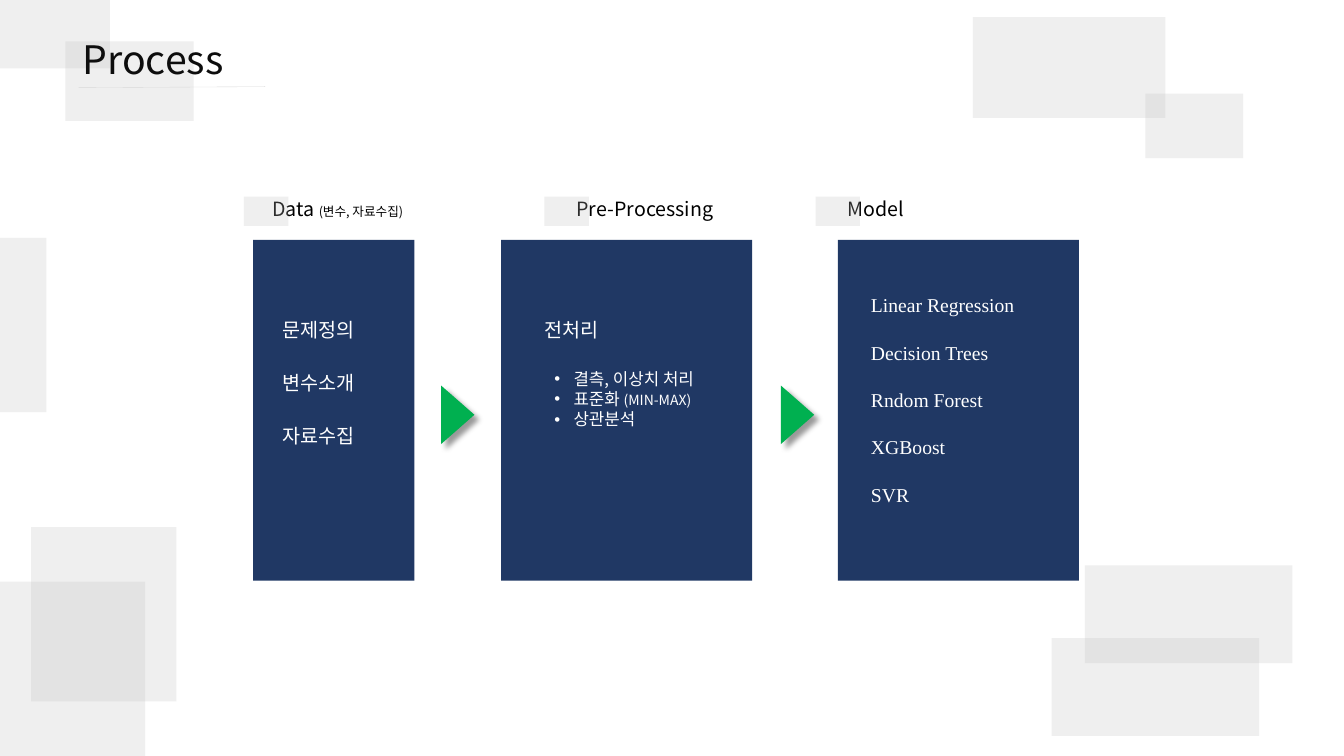
from dataclasses import dataclass

from lxml import etree
from pptx import Presentation
from pptx.dml.color import RGBColor
from pptx.enum.shapes import MSO_CONNECTOR, MSO_SHAPE
from pptx.enum.text import MSO_ANCHOR, MSO_AUTO_SIZE, PP_ALIGN
from pptx.oxml import parse_xml
from pptx.oxml.ns import nsdecls, qn
from pptx.util import Inches, Pt

RECT, TRIANGLE = MSO_SHAPE.RECTANGLE, MSO_SHAPE.ISOSCELES_TRIANGLE
STRAIGHT = MSO_CONNECTOR.STRAIGHT
TOP, LEFT = MSO_ANCHOR.TOP, PP_ALIGN.LEFT
NO_FIT, GROW = MSO_AUTO_SIZE.NONE, MSO_AUTO_SIZE.SHAPE_TO_FIT_TEXT


@dataclass(frozen=True)
class Theme:
    sans: str = "Noto Sans CJK KR"
    serif: str = "Times New Roman"
    white: str = "FFFFFF"
    black: str = "000000"
    title: str = "0D0D0D"
    rule: str = "D9D9D9"
    block: str = "BFBFBF"
    panel: str = "203864"
    arrow: str = "00B050"
    title_size: int = 28
    body_size: int = 14
    bullet_size: int = 12
    small_size: int = 10
    note_size: int = 9


T = Theme()

BACKDROP = [
    (0, 5.77, 1.44, 1.73), (0.31, 5.23, 1.44, 1.73),
    (10.76, 5.61, 2.06, 0.97), (10.43, 6.33, 2.06, 0.97),
    (9.65, 0.17, 1.91, 1), (11.36, 0.93, 0.97, 0.64),
    (0, 2.36, 0.46, 1.73), (0, 0, 1.09, 0.68), (0.65, 0.41, 1.27, 0.79),
]
PANEL_TOP, PANEL_HEIGHT = 2.38, 3.38
LINE_HEIGHT = 0.34


def add_block(slide, box, color, alpha=None, kind=RECT):
    s = slide.shapes.add_shape(kind, *map(Inches, box))
    s.shadow.inherit = False
    s.fill.solid()
    s.fill.fore_color.rgb = RGBColor.from_string(color)
    s.line.fill.background()
    if alpha is not None:
        clr = s.element.spPr.find(qn("a:solidFill"))[0]
        etree.SubElement(clr, qn("a:alpha"), val=str(alpha * 1000))
    return s


def add_run(p, text, size, color, font=T.sans):
    r = p.add_run()
    r.text = text
    for name, value in {"name": font, "size": Pt(size)}.items():
        setattr(r.font, name, value)
    r.font.color.rgb = RGBColor.from_string(color)
    etree.SubElement(r.font.fill._xPr, qn("a:ea"), typeface=font)


def add_text(slide, box, runs, color, font=T.sans):
    """Place one line made of (text, size) runs."""
    tf = slide.shapes.add_textbox(*map(Inches, box)).text_frame
    for name, value in {"word_wrap": True, "auto_size": GROW}.items():
        setattr(tf, name, value)
    for text, size in runs:
        add_run(tf.paragraphs[0], text, size, color, font)
    return tf


def add_bullets(slide, box, items):
    tf = add_text(slide, box, [], T.white)
    for i, runs in enumerate(items):
        p = tf.paragraphs[0] if i == 0 else tf.add_paragraph()
        pPr = p._p.get_or_add_pPr()
        pPr.set("marL", str(Inches(0.19)))
        pPr.set("indent", str(-Inches(0.19)))
        etree.SubElement(pPr, qn("a:buFont"), typeface="Arial")
        etree.SubElement(pPr, qn("a:buChar"), char="•")
        for text, size in runs:
            add_run(p, text, size, T.white)


def add_title(slide, box, text):
    x, y, w, h = box
    title = slide.shapes.title
    for name, value in zip(("left", "top", "width", "height"), box):
        setattr(title, name, Inches(value))
    tf = title.text_frame
    for name, value in {"word_wrap": False, "auto_size": NO_FIT,
                        "vertical_anchor": TOP}.items():
        setattr(tf, name, value)
    p = tf.paragraphs[0]
    p.alignment = LEFT
    add_run(p, text, T.title_size, T.title)
    # Bring the title in front of the backdrop
    title.element.getparent().append(title.element)
    # Thin rule under the title
    rule = slide.shapes.add_connector(
        STRAIGHT, *map(Inches, (x + 0.06, y + h, x + 1.91, y + h - 0.01)))
    rule.line.color.rgb = RGBColor.from_string(T.rule)
    rule.line.width = Pt(0.25)
    etree.SubElement(rule.element.spPr, qn("a:effectLst"))


def add_panel(slide, box, heading, heading_box, marker_x):
    """Panel with a heading above it; heading_box is (offset, width)."""
    x, y, w, h = box
    add_block(slide, box, T.panel)
    dx, width = heading_box
    add_text(slide, (x + dx, y - 0.48, width, LINE_HEIGHT), heading, T.black)
    add_block(slide, (marker_x, y - 0.43, 0.44, 0.29), T.block, 24)


def add_lines(slide, box, lines, step, font=T.sans):
    x, y, w, h = box
    for i, line in enumerate(lines):
        add_text(slide, (x, y + i * step, w, h), [(line, T.body_size)],
                 T.white, font)


def add_data(slide, box):
    x, y, w, h = box
    heading = [("Data ", T.body_size), ("(변수, 자료수집)", T.note_size)]
    add_panel(slide, box, heading, (0.09, 1.73), x - 0.09)
    add_lines(slide, (x + 0.19, y + 0.72, 1.19, LINE_HEIGHT),
              ["문제정의", "변수소개", "자료수집"], 0.53)


def add_preprocessing(slide, box):
    x, y, w, h = box
    add_panel(slide, box, [("Pre-Processing", T.body_size)],
              (0.65, 1.84), x + 0.43)
    add_lines(slide, (x + 0.33, y + 0.72, 1.18, LINE_HEIGHT), ["전처리"], 0)
    add_bullets(slide, (x + 0.43, y + 1.23, 1.92, 0.71), [
        [("결측, 이상치 처리", T.bullet_size)],
        [("표준화 ", T.bullet_size), ("(MIN-MAX)", T.small_size)],
        [("상관분석", T.bullet_size)],
    ])


def add_model(slide, box):
    x, y, w, h = box
    add_panel(slide, box, [("Model", T.body_size)], (0, 1.09), x - 0.22)
    models = ["Linear Regression", "Decision Trees", "Rndom Forest",
              "XGBoost", "SVR"]
    add_lines(slide, (x + 0.23, y + 0.48, 2.25, LINE_HEIGHT), models, 0.47,
              T.serif)


def add_arrow(slide, box):
    s = add_block(slide, box, T.arrow, kind=TRIANGLE)
    s.rotation = 90
    effects = s.element.spPr.find(qn("a:effectLst"))
    effects.append(parse_xml(
        f'<a:outerShdw {nsdecls("a")} blurRad="{Pt(4)}" dist="{Pt(5)}" '
        'dir="2700000" algn="tl" rotWithShape="0"><a:srgbClr '
        f'val="{T.black}"><a:alpha val="40000"/></a:srgbClr></a:outerShdw>'))


def main():
    prs = Presentation()
    prs.slide_width, prs.slide_height = Inches(13.33), Inches(7.5)
    slide = prs.slides.add_slide(prs.slide_layouts[5])
    slide.background.fill.solid()
    slide.background.fill.fore_color.rgb = RGBColor.from_string(T.white)

    # Backdrop and title
    for box in BACKDROP:
        add_block(slide, box, T.block, 24)
    add_title(slide, (0.72, 0.3, 1.82, 0.57), "Process")

    # Three process steps
    for add_step, x, w in ((add_data, 2.51, 1.6),
                           (add_preprocessing, 4.97, 2.49),
                           (add_model, 8.31, 2.39)):
        add_step(slide, (x, PANEL_TOP, w, PANEL_HEIGHT))

    # Arrows between the steps
    for x in (4.25, 7.62):
        add_arrow(slide, (x, 3.95, 0.58, 0.33))

    prs.save("out.pptx")


if __name__ == "__main__":
    main()
